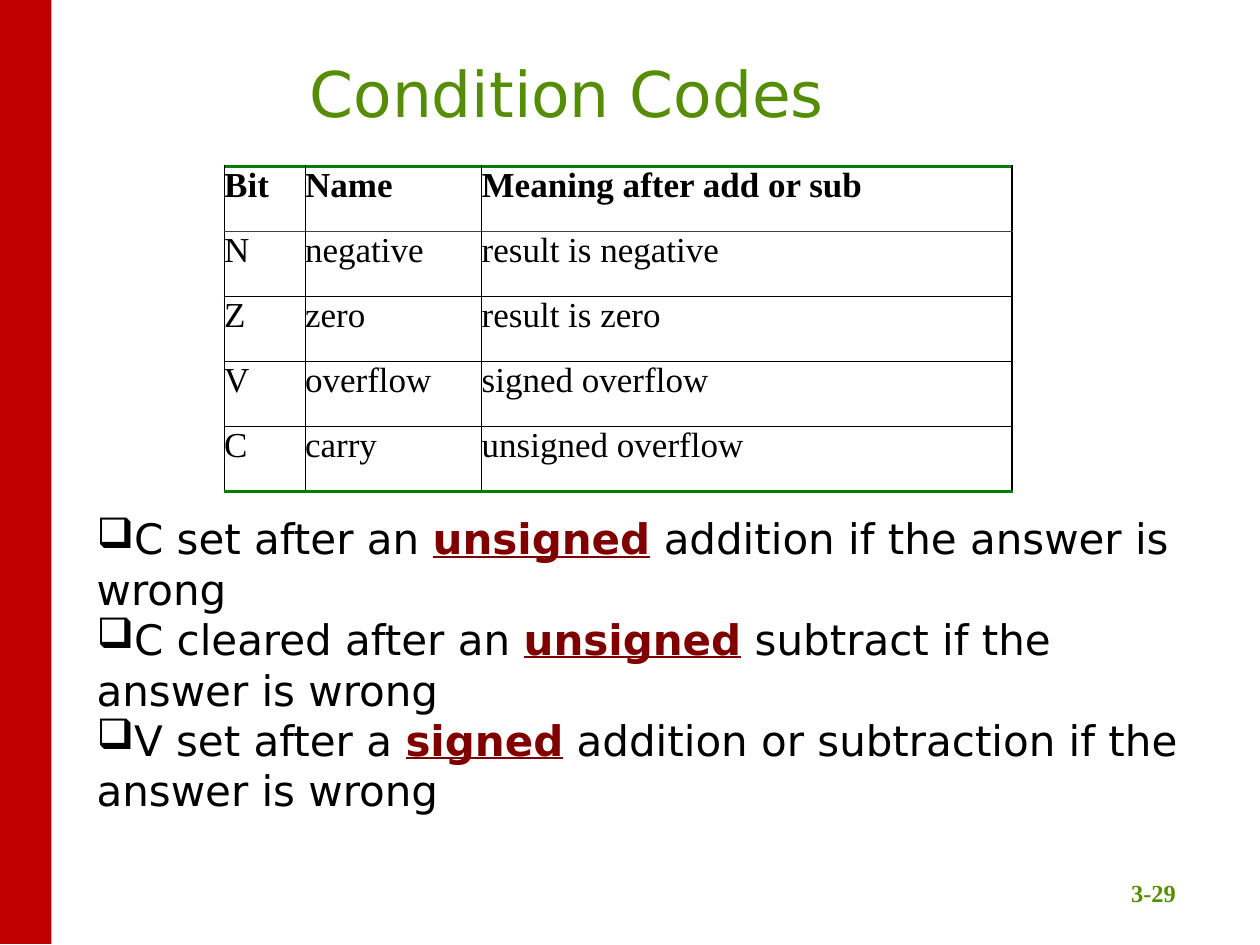
from dataclasses import dataclass
from typing import NamedTuple

from lxml.etree import SubElement
from pptx import Presentation
from pptx.dml.color import RGBColor as Rgb
from pptx.enum.shapes import MSO_SHAPE as Preset
from pptx.enum.text import MSO_ANCHOR as Anchor, PP_ALIGN as Align
from pptx.oxml.ns import qn
from pptx.util import Cm, Pt


@dataclass(frozen=True)
class Theme:
    heading: str = "558D06"
    band: str = "C00000"
    ink: str = "000000"
    stress: str = "800000"
    edge: str = "008000"
    header_rule: str = "404040"
    sans: str = "DejaVu Sans"
    serif: str = "Times New Roman"
    title_size: int = 36
    rule_size: int = 24
    table_size: int = 20
    number_size: int = 14


class Box(NamedTuple):
    left: float
    top: float
    width: float
    height: float

    def lengths(self) -> list:
        return [Cm(value) for value in self]


class Style(NamedTuple):
    font: str
    size: int
    color: str
    bold: bool = False
    underline: bool = False


class Rule(NamedTuple):
    before: str
    stressed: str
    after: str


class Line(NamedTuple):
    color: str
    points: float


THEME = Theme()
PLAIN = Style(THEME.sans, THEME.rule_size, THEME.ink)
STRESSED = PLAIN._replace(color=THEME.stress, bold=True, underline=True)
CELL = Style(THEME.serif, THEME.table_size, THEME.ink)

GRID = Line(THEME.ink, 0.75)
OUTER = Line(THEME.edge, 2)
HEADER = Line(THEME.header_rule, 0.5)

CODES = [
    ("Bit", "Name", "Meaning after add or sub"),
    ("N", "negative", "result is negative"),
    ("Z", "zero", "result is zero"),
    ("V", "overflow", "signed overflow"),
    ("C", "carry", "unsigned overflow"),
]
COLUMN_WIDTHS = (1.63, 3.56, 10.69)
ROW_HEIGHT = 1.31

RULES = [
    Rule("C set after an ", "unsigned", " addition if the answer is wrong"),
    Rule("C cleared after an ", "unsigned", " subtract if the answer is wrong"),
    Rule("V set after a ", "signed", " addition or subtraction if the answer is wrong"),
]


def add_run(paragraph, text: str, style: Style) -> None:
    run = paragraph.add_run()
    run.text = text
    font = run.font
    font.name, font.size = style.font, Pt(style.size)
    font.bold, font.underline = style.bold, style.underline
    font.color.rgb = Rgb.from_string(style.color)


def add_text_frame(slide, box: Box, anchor: Anchor):
    frame = slide.shapes.add_textbox(*box.lengths()).text_frame
    frame.word_wrap = True
    frame.vertical_anchor = anchor
    return frame


def add_label(slide, box: Box, anchor: Anchor, text: str, style: Style) -> None:
    paragraph = add_text_frame(slide, box, anchor).paragraphs[0]
    paragraph.alignment = Align.CENTER
    add_run(paragraph, text, style)


def add_bullet(paragraph, char: str, color: str) -> None:
    properties = paragraph._p.get_or_add_pPr()
    properties.set("marL", "0")
    properties.set("indent", "0")
    SubElement(SubElement(properties, qn("a:buClr")), qn("a:srgbClr"), val=color)
    SubElement(properties, qn("a:buChar"), char=char)


def set_borders(cell, top: Line, bottom: Line) -> None:
    properties = cell._tc.get_or_add_tcPr()
    for tag, line in (("lnL", GRID), ("lnR", GRID), ("lnT", top), ("lnB", bottom)):
        border = SubElement(properties, qn(f"a:{tag}"), w=str(int(Pt(line.points))))
        fill = SubElement(border, qn("a:solidFill"))
        SubElement(fill, qn("a:srgbClr"), val=line.color)


def add_code_table(slide, left: float, top: float) -> None:
    box = Box(left, top, sum(COLUMN_WIDTHS), ROW_HEIGHT * len(CODES))
    table = slide.shapes.add_table(len(CODES), len(COLUMN_WIDTHS), *box.lengths()).table
    table.first_row = table.horz_banding = False
    for column, width in zip(table.columns, COLUMN_WIDTHS):
        column.width = Cm(width)
    # One line above each row, and one below the last
    levels = [OUTER, HEADER] + [GRID] * (len(CODES) - 2) + [OUTER]
    for r, texts in enumerate(CODES):
        table.rows[r].height = Cm(ROW_HEIGHT)
        for c, text in enumerate(texts):
            cell = table.cell(r, c)
            cell.margin_left = cell.margin_right = 0
            cell.margin_top = cell.margin_bottom = 0
            set_borders(cell, levels[r], levels[r + 1])
            cell.fill.background()
            paragraph = cell.text_frame.paragraphs[0]
            paragraph.alignment = Align.JUSTIFY
            add_run(paragraph, text, CELL._replace(bold=r == 0))


def add_rules(slide, box: Box) -> None:
    frame = add_text_frame(slide, box, Anchor.TOP)
    frame.margin_top = Cm(0.26)
    for i, rule in enumerate(RULES):
        paragraph = frame.add_paragraph() if i else frame.paragraphs[0]
        add_bullet(paragraph, "\u2751", THEME.ink)
        for text, style in zip(rule, (PLAIN, STRESSED, PLAIN)):
            add_run(paragraph, text, style)


def add_side_band(slide, box: Box) -> None:
    band = slide.shapes.add_shape(Preset.RECTANGLE, *box.lengths())
    band.shadow.inherit = False
    band.fill.solid()
    band.fill.fore_color.rgb = Rgb.from_string(THEME.band)
    band.line.fill.background()


deck = Presentation()
deck.slide_width, deck.slide_height = Cm(25.4), Cm(19.05)
slide = deck.slides.add_slide(deck.slide_layouts[6])

# Page number and side band
add_label(slide, Box(21.77, 17.25, 2.97, 1.17), Anchor.BOTTOM, "3-29",
          Style(THEME.serif, THEME.number_size, THEME.heading, bold=True))
add_side_band(slide, Box(0, 0, 1.04, 19.03))

# Title
add_label(slide, Box(0, 0.76, 22.86, 2.21), Anchor.MIDDLE, "Condition Codes",
          Style(THEME.sans, THEME.title_size, THEME.heading))

# Rules and table of codes
add_rules(slide, Box(1.7, 10.08, 22.45, 7.24))
add_code_table(slide, 4.52, 3.35)

deck.save("out.pptx")
